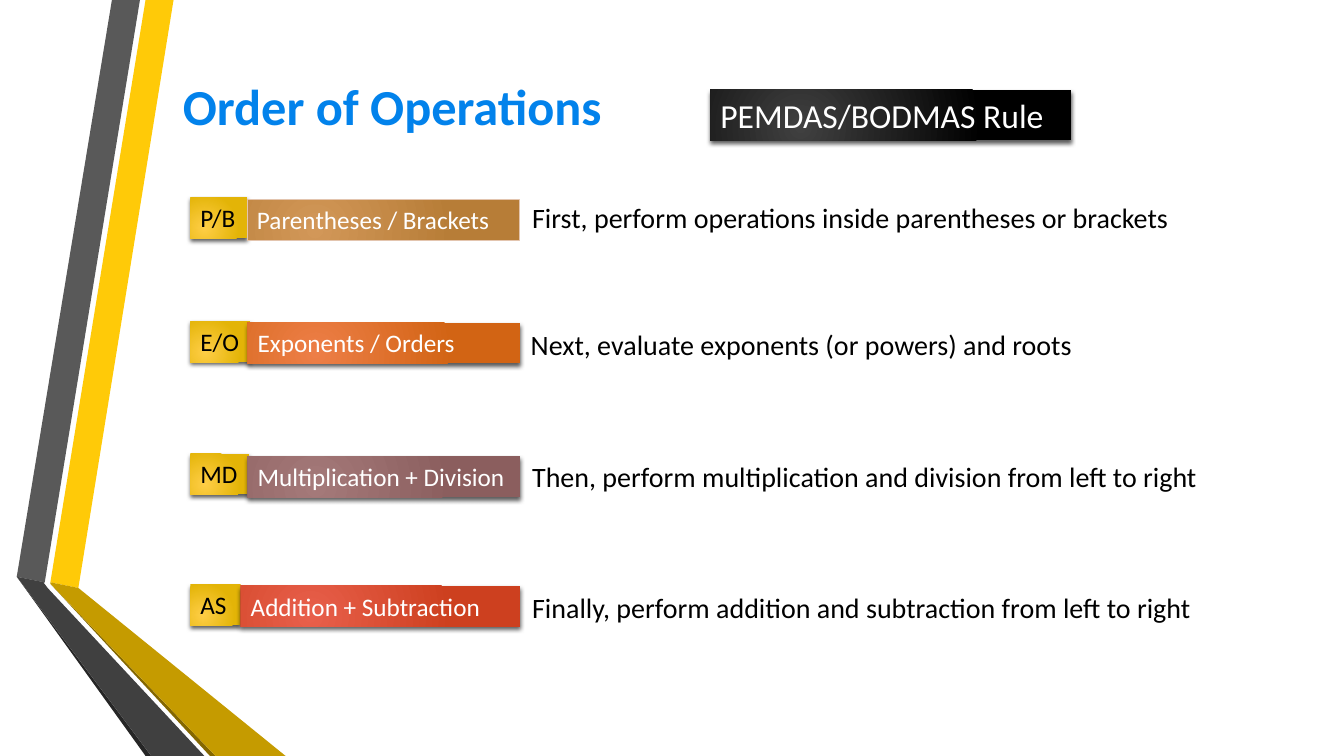
from lxml.etree import SubElement as Sub
from pptx import Presentation
from pptx.dml.color import RGBColor
from pptx.enum.shapes import MSO_SHAPE as SHAPE
from pptx.enum.text import MSO_ANCHOR as ANCHOR, MSO_AUTO_SIZE as AUTO, PP_ALIGN as ALIGN
from pptx.oxml import parse_xml
from pptx.oxml.ns import nsdecls, qn
from pptx.util import Pt


def write(sp, text, size, color="000000", bold=False, align=ALIGN.LEFT,
          anchor=ANCHOR.TOP, wrap=True, fit=AUTO.SHAPE_TO_FIT_TEXT):
    tf = sp.text_frame
    tf.word_wrap = wrap
    tf.auto_size = fit
    tf.vertical_anchor = anchor
    p = tf.paragraphs[0]
    p.alignment = align
    r = p.add_run()
    r.text = text
    r.font.name = "Calibri"
    r.font.size = Pt(size)
    r.font.bold = bold
    r.font.color.rgb = RGBColor.from_string(color)


def add_panel(s, x, y, w, h, inner, outer, border=None):
    sp = s.shapes.add_shape(SHAPE.RECTANGLE, Pt(x), Pt(y), Pt(w), Pt(h))
    sp.shadow.inherit = False
    props = sp.element.spPr
    props.find(qn("a:prstGeom")).addnext(parse_xml(
        f'<a:gradFill {nsdecls("a")} rotWithShape="1"><a:gsLst>'
        f'<a:gs pos="0"><a:srgbClr val="{inner}"/></a:gs>'
        f'<a:gs pos="100000"><a:srgbClr val="{outer}"/></a:gs></a:gsLst>'
        '<a:path path="circle"><a:fillToRect l="50000" t="100000" r="100000" b="50000"/>'
        '</a:path></a:gradFill>'))
    if border:
        sp.line.color.rgb = RGBColor.from_string(border)
        sp.line.width = Pt(0.75)
    else:
        sp.line.fill.background()
        shadow = Sub(props.find(qn("a:effectLst")), qn("a:outerShdw"), blurRad=str(Pt(3)),
                     dist=str(Pt(2)), dir="5400000", algn="ctr", rotWithShape="0")
        black = Sub(shadow, qn("a:srgbClr"), val="000000")
        Sub(black, qn("a:alpha"), val="64000")
    return sp


prs = Presentation()
prs.slide_width, prs.slide_height = Pt(960), Pt(540)
s = prs.slides.add_slide(prs.slide_layouts[5])

ribbons = [
    ("FFCA08", [(36, 416), (55.5, 420), (124.5, 0), (104.5, 0)]),
    ("595959", [(100, 0), (80, 0), (11.5, 412.5), (31.5, 415.5)]),
    ("262626", [(11.5, 412.5), (104.5, 540), (108.5, 540)]),
    ("846700", [(36, 417), (150, 540), (154, 540)]),
    ("C59B00", [(36, 417), (154, 540), (204, 540), (55.5, 420), (36, 416)]),
    ("404040", [(145.5, 540), (34.5, 420), (31, 416), (31.5, 415.5), (11.5, 412.5), (108.5, 540)]),
]
for color, points in ribbons:
    fb = s.shapes.build_freeform(*points[0], scale=Pt(1))
    fb.add_line_segments(points[1:], close=True)
    sp = fb.convert_to_shape()
    sp.shadow.inherit = False
    sp.fill.solid()
    sp.fill.fore_color.rgb = RGBColor.from_string(color)
    sp.line.fill.background()

title = s.shapes.title
title.left, title.top, title.width, title.height = Pt(116.5), Pt(54), Pt(327.5), Pt(43)
write(title, "Order of Operations", 36, "0282EB", bold=True, align=ALIGN.CENTER,
      anchor=ANCHOR.MIDDLE, fit=AUTO.NONE)

rule = add_panel(s, 507.5, 64, 257.5, 36.35, "404040", "000000")
write(rule, "PEMDAS/BODMAS Rule", 24, "FFFFFF")

steps = [
    ("P/B", 141, 40.5, "Parentheses / Brackets", 142.5, 176.5, 371, "D29758", "B77D37", "E3C5AF",
     "First, perform operations inside parentheses or brackets", 373, 139.5, 479.5),
    ("E/O", 229.5, 42.5, "Exponents / Orders", 230.5, 177, 371.5, "ED7E47", "D26414", None,
     "Next, evaluate exponents (or powers) and roots", 372, 230.5, 408),
    ("MD", 324, 42, "Multiplication + Division", 326, 177, 371.5, "A47979", "8B5E5E", None,
     "Then, perform multiplication and division from left to right", 373, 325, 500.5),
    ("AS", 417.5, 36, "Addition + Subtraction", 418.5, 172, 371.5, "E85F4B", "CD401F", None,
     "Finally, perform addition and subtraction from left to right", 373, 418, 497),
]
for (letters, key_y, key_w, name, name_y, name_x, name_end, inner, outer, border,
     advice, advice_x, advice_y, advice_w) in steps:
    key = add_panel(s, 136, key_y, key_w, 29.1, "FFCE46", "E3B407")
    write(key, letters, 18, wrap=False)
    label = add_panel(s, name_x, name_y, name_end - name_x, 29.1, inner, outer, border)
    write(label, name, 18, "FFFFFF", wrap=name != "Multiplication + Division")
    tb = s.shapes.add_textbox(Pt(advice_x), Pt(advice_y), Pt(advice_w), Pt(31.5))
    write(tb, advice, 20, wrap=False)

prs.save("out.pptx")
